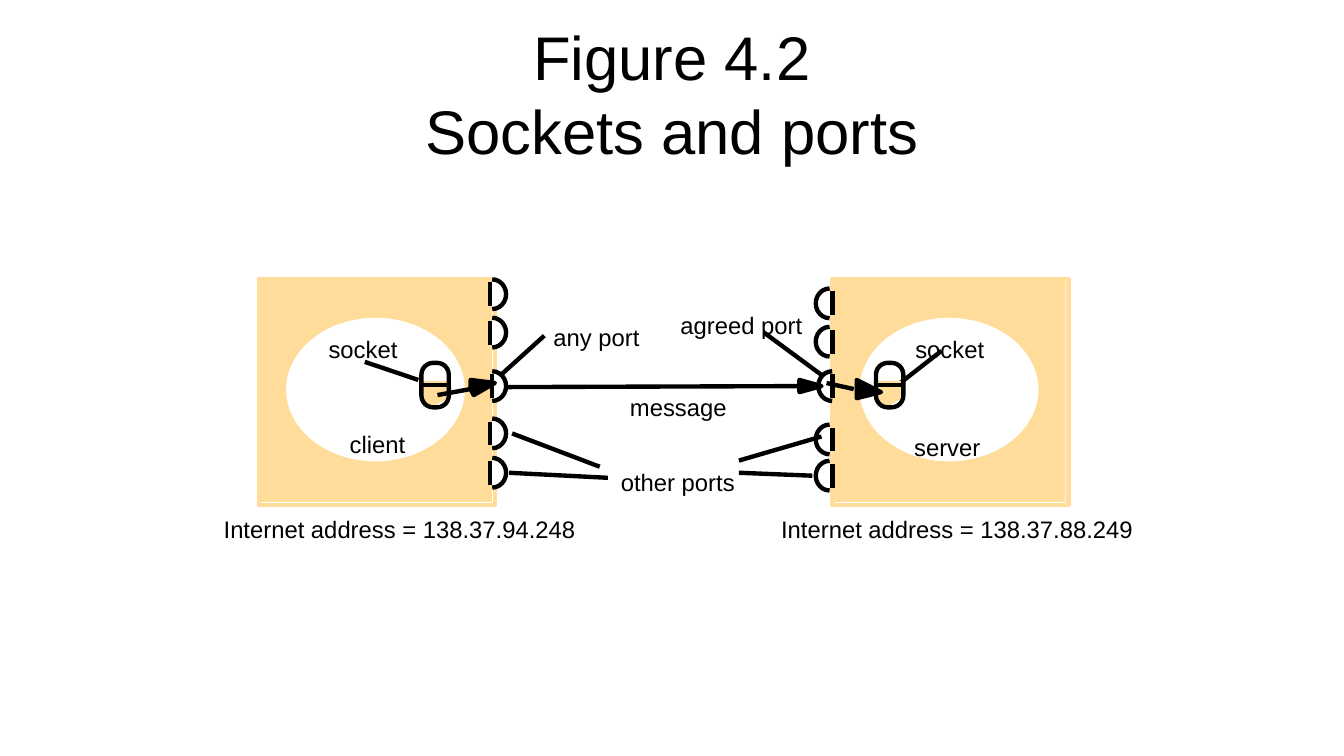
from typing import NamedTuple

from pptx import Presentation
from pptx import util as u
from pptx.dml.color import RGBColor
from pptx.enum import shapes, text
from pptx.oxml import ns
from lxml import etree

BLACK = RGBColor(0x00, 0x00, 0x00)
WHITE = RGBColor(0xFF, 0xFF, 0xFF)
SAND = RGBColor(0xFF, 0xDC, 0x99)
FONT = "Arial"
STROKE = u.Pt(3.13)
KIND = shapes.MSO_SHAPE


class Label(NamedTuple):
    words: str
    left: float
    top: float
    width: float


class Stroke(NamedTuple):
    x1: float
    y1: float
    x2: float
    y2: float


class Port(NamedTuple):
    x: float
    y: float
    bar_x: float
    opens_right: bool


HOST_LEFTS = (185, 594.7)
SOCKET_LEFTS = (301, 625.7)
SOCKET_TOP = 259.2

OTHER_PORTS = [Port(351.6, y, 350, True) for y in (210.2, 237.6, 309.6, 337.7)]
OTHER_PORTS += [Port(592.6, y, 594.7, False) for y in (216.7, 244.1, 313.9, 339.8)]
USED_PORTS = [Port(351.6, 275.8, 351.6, True), Port(594.4, 275.8, 594.7, False)]

LABELS = [
    Label("message", 450, 280.8, 69.8),
    Label("agreed port", 486, 221.8, 87.8),
    Label("any port", 395.3, 230.4, 61.9),
    Label("socket", 653.8, 239, 49.7),
    Label("socket", 234.7, 239, 49.7),
    Label("Internet address = 138.37.88.249", 558, 367.9, 254.2),
    Label("Internet address = 138.37.94.248", 159.8, 367.9, 254.2),
    Label("other ports", 443.5, 334.1, 82.1),
    Label("client", 249.8, 306.7, 40.3),
    Label("server", 653, 308.9, 47.5),
]
LEADERS = [
    Stroke(357.8, 267.8, 388.8, 239.8),
    Stroke(586.8, 267.8, 545.8, 237.6),
    Stroke(298.8, 271.4, 260.6, 258.5),
    Stroke(643, 273.6, 672.5, 250.6),
    Stroke(428.4, 333.4, 365.8, 309.6),
    Stroke(434.2, 341.3, 363.6, 337.7),
    Stroke(580.3, 339.8, 527.8, 337.7),
    Stroke(527.8, 329, 586.8, 311.8),
]
ARROW_SHAFTS = [
    Stroke(571, 275.8, 361.4, 276.5),
    Stroke(312.5, 282.2, 336.2, 277.9),
    Stroke(609.8, 277.9, 590.4, 273.6),
]
ARROW_HEADS = [
    [(571, 271.4), (586.8, 275.8), (571, 280.1)],
    [(336.2, 277.9), (336.2, 271.4), (353.5, 273.6), (338.4, 282.2)],
    [(612, 271.4), (629.3, 280.1), (612, 284.4)],
]


def style(shape, fill: RGBColor | None, line: RGBColor | None) -> None:
    shape.shadow.inherit = False
    if fill is None:
        shape.fill.background()
    else:
        shape.fill.solid()
        shape.fill.fore_color.rgb = fill
    if line is None:
        shape.line.fill.background()
    else:
        shape.line.color.rgb = line
        shape.line.width = STROKE


def add_preset(page, kind, left: float, top: float, width: float, height: float,
               fill: RGBColor | None, line: RGBColor | None):
    shape = page.shapes.add_shape(kind, u.Pt(left), u.Pt(top), u.Pt(width), u.Pt(height))
    style(shape, fill, line)
    return shape


def add_polygon(page, corners: list[tuple[float, float]], colour: RGBColor) -> None:
    points = [(u.Pt(x), u.Pt(y)) for x, y in corners]
    builder = page.shapes.build_freeform(*points[0])
    builder.add_line_segments(points[1:], close=True)
    style(builder.convert_to_shape(), colour, colour)


def add_stroke(page, stroke: Stroke):
    line = page.shapes.add_connector(
        shapes.MSO_CONNECTOR.STRAIGHT, *(u.Pt(value) for value in stroke))
    line.line.color.rgb = BLACK
    line.line.width = STROKE
    etree.SubElement(line._element.spPr, ns.qn("a:effectLst"))
    return line


def format_span(span, size: float) -> None:
    span.font.name = FONT
    span.font.size = u.Pt(size)
    span.font.color.rgb = BLACK


def add_title(page) -> None:
    title = page.shapes.title
    title.left, title.top = u.Pt(48), u.Pt(21.6)
    title.width, title.height = u.Pt(864), u.Pt(90)
    frame = title.text_frame
    frame.auto_size = text.MSO_AUTO_SIZE.NONE
    frame.vertical_anchor = text.MSO_ANCHOR.MIDDLE
    para = frame.paragraphs[0]
    para.alignment = text.PP_ALIGN.CENTER
    for index, words in enumerate(("Figure 4.2", "Sockets and ports")):
        if index:
            para.add_line_break()
        span = para.add_run()
        span.text = words
        format_span(span, 44)


def add_label(page, label: Label) -> None:
    box = page.shapes.add_textbox(
        u.Pt(label.left), u.Pt(label.top), u.Pt(label.width), u.Pt(20.9))
    frame = box.text_frame
    frame.margin_left = frame.margin_right = frame.margin_top = frame.margin_bottom = 0
    frame.word_wrap = False
    frame.auto_size = text.MSO_AUTO_SIZE.SHAPE_TO_FIT_TEXT
    span = frame.paragraphs[0].add_run()
    span.text = label.words
    format_span(span, 17)


def add_host(page, left: float) -> None:
    """Draw a computer with the white process inside it."""
    add_preset(page, KIND.RECTANGLE, left, 199.4, 166.3, 159.1, SAND, None)
    add_preset(page, KIND.RECTANGLE, left, 199.4, 168.5, 161.3, None, SAND)
    add_preset(page, KIND.OVAL, left + 17.7, 225.4, 131, 105.8, WHITE, SAND)


def add_port(page, port: Port) -> None:
    """Draw a half round port and the bar that closes it."""
    arc = add_preset(page, KIND.ARC, port.x - 9.9, port.y - 10.6, 19.8, 21.2, WHITE, BLACK)
    top, bottom = 162, 54
    arc.adjustments[0] = top if port.opens_right else bottom
    arc.adjustments[1] = bottom if port.opens_right else top
    add_stroke(page, Stroke(port.bar_x, port.y - 8.5, port.bar_x, port.y + 8.5))


def add_socket(page, left: float) -> None:
    """Draw a capsule with a sand-coloured lower half."""
    lower_half = [(0, 14.4), (2.2, 25.2), (7.9, 29.5), (15.8, 25.2), (17.5, 14.4)]
    add_polygon(page, [(left + x, SOCKET_TOP + y) for x, y in lower_half], SAND)
    capsule = add_preset(page, KIND.ROUNDED_RECTANGLE, left, SOCKET_TOP, 19.6, 31.8,
                         None, BLACK)
    capsule.adjustments[0] = 0.43
    middle = SOCKET_TOP + 15.9
    divider = add_stroke(page, Stroke(left, middle, left + 19.6, middle))
    divider.begin_connect(capsule, 1)
    divider.end_connect(capsule, 3)


def main() -> None:
    deck = Presentation()
    deck.slide_width, deck.slide_height = u.Pt(960), u.Pt(540)
    page = deck.slides.add_slide(deck.slide_layouts[5])
    add_title(page)
    for left in HOST_LEFTS:
        add_host(page, left)
    for port in OTHER_PORTS:
        add_port(page, port)
    for label in LABELS:
        add_label(page, label)
    for leader in LEADERS:
        add_stroke(page, leader)
    for left in SOCKET_LEFTS:
        add_socket(page, left)
    for port in USED_PORTS:
        add_port(page, port)
    for head, shaft in zip(ARROW_HEADS, ARROW_SHAFTS):
        add_polygon(page, head, BLACK)
        add_stroke(page, shaft)
    deck.save("out.pptx")


if __name__ == "__main__":
    main()
